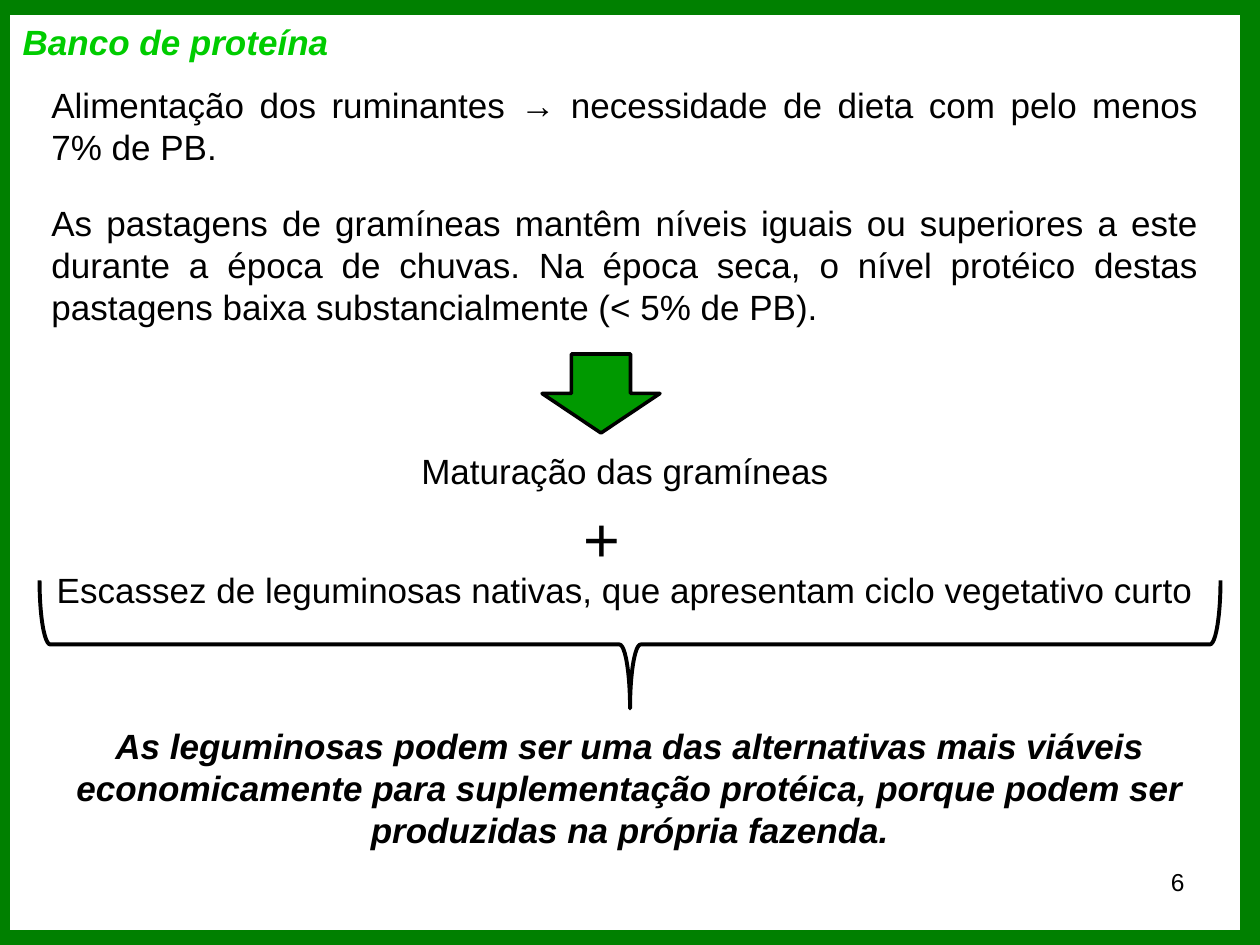
"""Build the protein bank slide with its green frame, argument and conclusion."""
from lxml import etree
from pptx import Presentation, util as u
from pptx.dml.color import RGBColor
from pptx.enum import shapes, text
from pptx.oxml.ns import qn

SCALE = u.Inches(1) / 126
THEME = {
    "font": "Arial",
    "frame": RGBColor(0x00, 0x80, 0x00),
    "title": RGBColor(0x00, 0xCC, 0x00),
    "arrow": RGBColor(0x00, 0x99, 0x00),
    "ink": RGBColor(0x00, 0x00, 0x00),
    "body_size": u.Pt(20),
    "plus_size": u.Pt(36),
    "number_size": u.Pt(14),
}
ALIGN = text.PP_ALIGN


def px(*lengths):
    return [u.Emu(round(length * SCALE)) for length in lengths]


def write(shape, words, align, size="body_size", color="ink", strong=False, wrap=True):
    frame = shape.text_frame
    frame.auto_size = text.MSO_AUTO_SIZE.NONE
    frame.word_wrap = wrap
    paragraph = frame.paragraphs[0]
    paragraph.text = words
    paragraph.alignment = align
    font = paragraph.runs[0].font
    formats = {"name": THEME["font"], "size": THEME[size], "bold": strong, "italic": strong}
    for name, value in formats.items():
        setattr(font, name, value)
    font.color.rgb = THEME[color]


presentation = Presentation()
presentation.slide_width, presentation.slide_height = px(1260, 945)
slide = presentation.slides.add_slide(presentation.slide_layouts[5])

frame_lines = [((5, -4, 5, 941), 6)]
for y in (939, 6):
    frame_lines += [((start, y, start + 873, y), 10) for start in (-5, 392)]
frame_lines += [((x, 6, x, 951), 6) for x in (1255, 1245)]
for ends, width in frame_lines:
    line = slide.shapes.add_connector(shapes.MSO_CONNECTOR.STRAIGHT, *px(*ends))
    line.line.color.rgb = THEME["frame"]
    line.line.width = u.Pt(width)
    etree.SubElement(line._element.spPr, qn("a:effectLst"))

title = slide.shapes.title
title.left, title.top, title.width, title.height = px(10, 6, 1245, 70)
write(title, "Banco de proteína", ALIGN.LEFT, color="title", strong=True)
title.text_frame.vertical_anchor = text.MSO_ANCHOR.MIDDLE

text_boxes = [
    ((39, 77, 1172, 97), "Alimentação dos ruminantes → necessidade de dieta com pelo menos 7% de PB.",
     ALIGN.JUSTIFY, {}),
    ((39, 195, 1172, 139), "As pastagens de gramíneas mantêm níveis iguais ou superiores a este durante "
     "a época de chuvas. Na época seca, o nível protéico destas pastagens baixa "
     "substancialmente (< 5% de PB).", ALIGN.JUSTIFY, {}),
    ((39, 443, 1172, 55), "Maturação das gramíneas", ALIGN.CENTER, {}),
    ((571, 493, 62, 88), "+", ALIGN.LEFT, {"size": "plus_size", "wrap": False}),
    ((39, 562, 1172, 55), "Escassez de leguminosas nativas, que apresentam ciclo vegetativo curto",
     ALIGN.CENTER, {}),
    ((49, 718, 1162, 139), "As leguminosas podem ser uma das alternativas mais viáveis economicamente "
     "para suplementação protéica, porque podem ser produzidas na própria fazenda.",
     ALIGN.CENTER, {"strong": True}),
    ((903, 861, 294, 66), "6", ALIGN.RIGHT, {"size": "number_size"}),
]
for place, words, align, options in text_boxes:
    write(slide.shapes.add_textbox(*px(*place)), words, align, **options)

arrow = slide.shapes.add_shape(shapes.MSO_SHAPE.DOWN_ARROW, *px(542, 354, 118, 79))
arrow.fill.solid()
arrow.fill.fore_color.rgb = THEME["arrow"]

brace = slide.shapes.add_shape(shapes.MSO_SHAPE.RIGHT_BRACE, *px(566, 54, 128, 1181))
brace.rotation = 90
brace.fill.background()

for shape, width in ((arrow, 2), (brace, 2.25)):
    shape.shadow.inherit = False
    shape.line.color.rgb = THEME["ink"]
    shape.line.width = u.Pt(width)

presentation.save("out.pptx")
